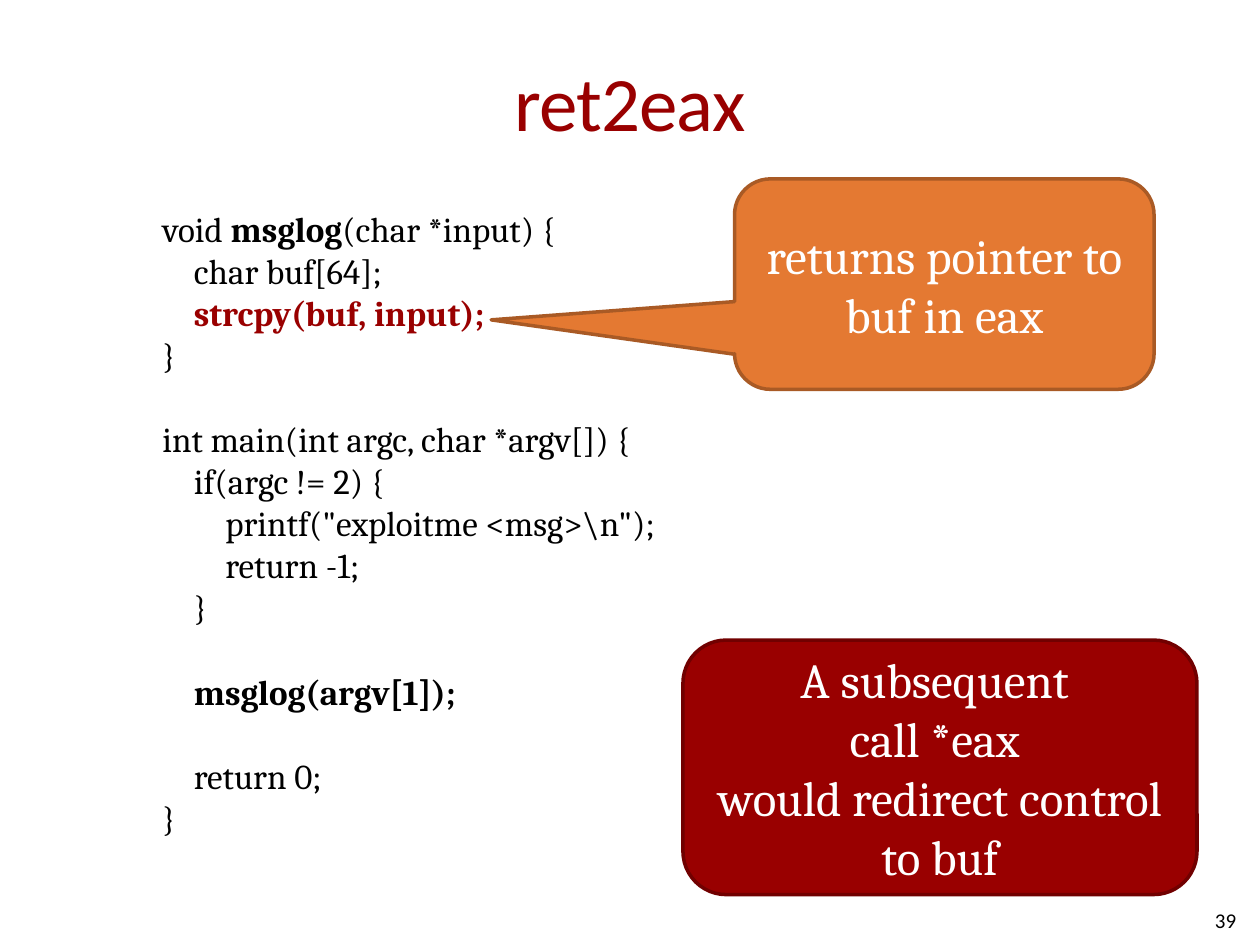
from dataclasses import dataclass

from pptx import Presentation
from pptx.dml.color import RGBColor
from pptx.enum.shapes import MSO_SHAPE as Preset
from pptx.enum.text import MSO_ANCHOR as Anchor, PP_ALIGN as Align
from pptx.slide import Slide
from pptx.text.text import TextFrame
from pptx.util import Inches, Pt

BLACK = RGBColor(0x00, 0x00, 0x00)
WHITE = RGBColor(0xFF, 0xFF, 0xFF)
RED = RGBColor(0x99, 0x00, 0x00)
DARK_RED = RGBColor(0x71, 0x00, 0x00)
ORANGE = RGBColor(0xE4, 0x79, 0x32)
BROWN = RGBColor(0xA9, 0x5A, 0x25)

HEADING_FONT = "Calibri"
BODY_FONT = "Cambria"
INDENT = 0.25
CODE_LINE_HEIGHT = Pt(24)


@dataclass(frozen=True)
class Area:
    left: float
    top: float
    width: float
    height: float

    def lengths(self) -> tuple:
        return tuple(map(Inches, (self.left, self.top, self.width, self.height)))


@dataclass(frozen=True)
class Span:
    text: str
    bold: bool = False
    color: RGBColor = BLACK


@dataclass(frozen=True)
class CodeLine:
    spans: tuple[Span, ...]
    level: int = 0
    gap_before: bool = False


@dataclass(frozen=True)
class Bubble:
    preset: Preset
    area: Area
    adjustments: tuple[float, ...]
    fill: RGBColor
    outline: RGBColor
    text: str


CODE = (
    CodeLine((Span("void "), Span("msglog", bold=True), Span("(char *input) {"))),
    CodeLine((Span("char buf[64];"),), 1),
    CodeLine((Span("strcpy(buf, input);", bold=True, color=RED),), 1),
    CodeLine((Span("}"),)),
    CodeLine((Span("int main(int argc, char *argv[]) {"),), gap_before=True),
    CodeLine((Span("if(argc != 2) {"),), 1),
    CodeLine((Span('printf("exploitme <msg>\\n");'),), 2),
    CodeLine((Span("return -1;"),), 2),
    CodeLine((Span("}"),), 1),
    CodeLine((Span("msglog(argv[1]);", bold=True),), 1, gap_before=True),
    CodeLine((Span("return 0;"),), 1, gap_before=True),
    CodeLine((Span("}"),)),
)

BUBBLES = (
    Bubble(Preset.ROUNDED_RECTANGULAR_CALLOUT, Area(5.83, 1.42, 3.33, 1.67),
           (-1.08, 0.17, 0.17), ORANGE, BROWN, "returns pointer to buf in eax"),
    Bubble(Preset.ROUNDED_RECTANGLE, Area(5.42, 5.08, 4.08, 2.02),
           (0.17,), RED, DARK_RED,
           "A subsequent \vcall *eax \vwould redirect control to buf"),
)


def write_label(frame: TextFrame, text: str, size: int, font: str,
                color: RGBColor, align: Align) -> None:
    frame.word_wrap = True
    frame.vertical_anchor = Anchor.MIDDLE
    para = frame.paragraphs[0]
    para.text = text
    para.alignment = align
    para.font.size = Pt(size)
    para.font.name = font
    para.font.color.rgb = color


def add_title(page: Slide, text: str) -> None:
    frame = page.shapes.add_textbox(*Area(0.5, 0.17, 9, 1.25).lengths()).text_frame
    frame.margin_left = frame.margin_right = 0
    write_label(frame, text, 44, HEADING_FONT, RED, Align.CENTER)
    for span in frame.paragraphs[0].runs:
        span.font._element.set("spc", "-50")


def add_code(page: Slide, area: Area, lines: tuple[CodeLine, ...]) -> None:
    frame = page.shapes.add_textbox(*area.lengths()).text_frame
    frame.word_wrap = True
    for number, line in enumerate(lines):
        para = frame.add_paragraph() if number else frame.paragraphs[0]
        para.font.size = Pt(20)
        para.font.name = BODY_FONT
        para._p.get_or_add_pPr().set("marL", str(Inches(INDENT * line.level)))
        if line.gap_before:
            para.space_before = CODE_LINE_HEIGHT
        for part in line.spans:
            span = para.add_run()
            span.text = part.text
            span.font.bold = part.bold
            span.font.color.rgb = part.color


def add_bubble(page: Slide, bubble: Bubble) -> None:
    shape = page.shapes.add_shape(bubble.preset, *bubble.area.lengths())
    for index, value in enumerate(bubble.adjustments):
        shape.adjustments[index] = value
    shape.shadow.inherit = False
    shape.fill.solid()
    shape.fill.fore_color.rgb = bubble.fill
    shape.line.color.rgb = bubble.outline
    shape.line.width = Pt(2)
    write_label(shape.text_frame, bubble.text, 28, BODY_FONT, WHITE, Align.CENTER)


def main() -> None:
    deck = Presentation()
    deck.slide_width, deck.slide_height = Inches(10), Inches(7.5)
    page = deck.slides.add_slide(deck.slide_layouts[6])
    add_title(page, "ret2eax")
    add_code(page, Area(1.19, 1.6, 4.89, 5.15), CODE)
    number_box = page.shapes.add_textbox(*Area(7.58, 7.1, 2.33, 0.4).lengths())
    write_label(number_box.text_frame, "39", 12, HEADING_FONT, BLACK, Align.RIGHT)
    for bubble in BUBBLES:
        add_bubble(page, bubble)
    deck.save("out.pptx")


if __name__ == "__main__":
    main()
